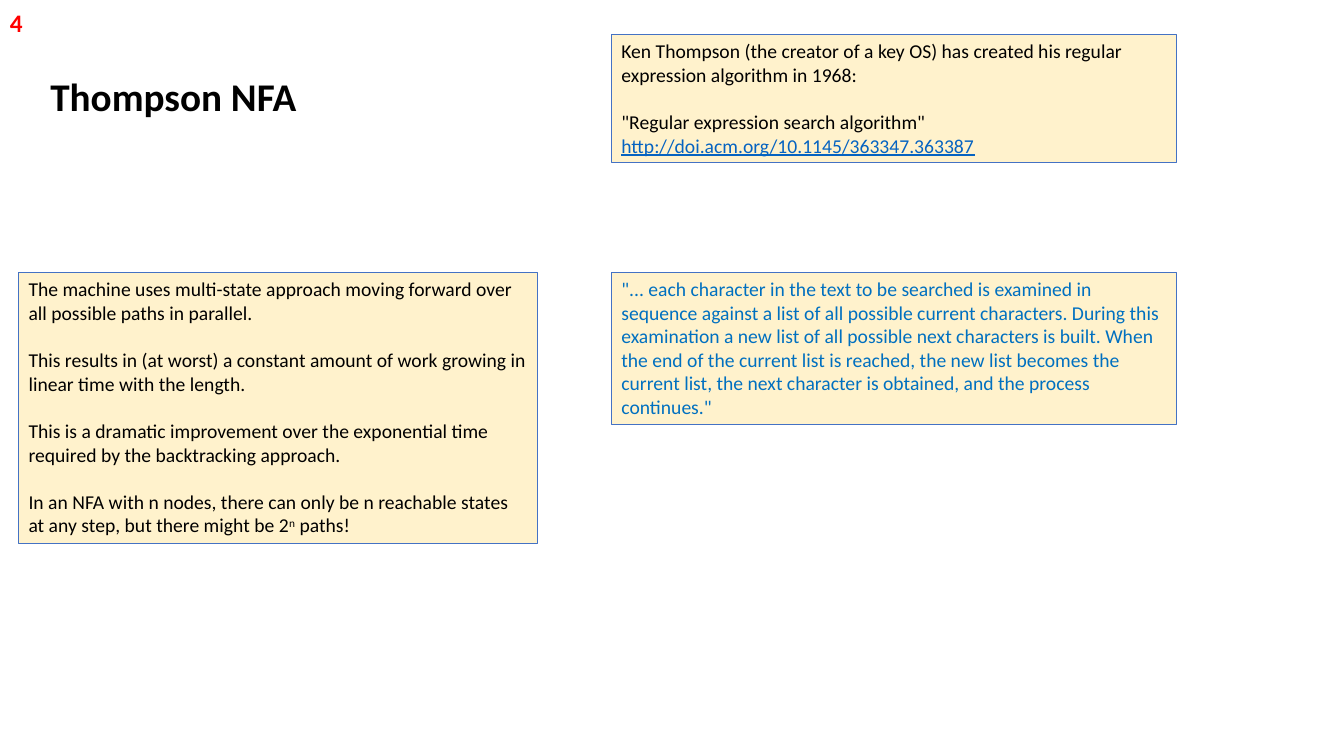
from pptx import Presentation
from pptx import util as u
from pptx.dml.color import RGBColor
from pptx.enum import shapes, text

BLACK = RGBColor(0x00, 0x00, 0x00)
RED = RGBColor(0xFF, 0x00, 0x00)
CREAM = RGBColor(0xFF, 0xF2, 0xCC)
BORDER_BLUE = RGBColor(0x44, 0x72, 0xC4)
QUOTE_BLUE = RGBColor(0x00, 0x70, 0xC0)
LINK_BLUE = RGBColor(0x05, 0x63, 0xC1)

FONT = "Calibri"
RIGHT_COLUMN, RIGHT_WIDTH = 15.41, 14.25
LOWER_ROW = 6.86
PARAGRAPH_GAP = u.Pt(17)

HISTORY = [
    ["Ken Thompson (the creator of a key OS) has created his regular "
     "expression algorithm in 1968:"],
    ['"Regular expression search algorithm" ',
     ("http://doi.acm.org/10.1145/363347.363387", "link")],
]
APPROACH = [
    ["The machine uses multi-state approach moving forward over all possible "
     "paths in parallel."],
    ["This results in (at worst) a constant amount of work growing in linear "
     "time with the length."],
    ["This is a dramatic improvement over the exponential time required by "
     "the backtracking approach."],
    ["In an NFA with n nodes, there can only be n reachable states at any "
     "step, but there might be 2", ("n", "superscript"), " paths!"],
]
QUOTE = [
    ['"... each character in the text to be searched is examined in sequence '
     "against a list of all possible current characters. During this "
     "examination a new list of all possible next characters is built. When "
     "the end of the current list is reached, the new list becomes the "
     "current list, the next character is obtained, and the process "
     'continues."'],
]


def add_run(paragraph, piece):
    """Add plain text, or a (text, style) pair."""
    content, style = (piece, None) if isinstance(piece, str) else piece
    run = paragraph.add_run()
    run.text = content
    if style == "link":
        run.font.color.rgb = LINK_BLUE
        run.font.underline = True
    elif style == "superscript":
        run.font._element.set("baseline", "30000")


def write_paragraphs(frame, paragraphs, size, color, bold=False):
    for index, pieces in enumerate(paragraphs):
        paragraph = frame.add_paragraph() if index else frame.paragraphs[0]
        paragraph.alignment = text.PP_ALIGN.LEFT
        if index:
            paragraph.space_before = PARAGRAPH_GAP
        font = paragraph.font
        font.name, font.size, font.bold = FONT, u.Pt(size), bold
        font.color.rgb = color
        for piece in pieces:
            add_run(paragraph, piece)


def add_label(slide, label, left, top, width, height, size, color, wrap=True):
    shape = slide.shapes.add_textbox(u.Cm(left), u.Cm(top), u.Cm(width), u.Cm(height))
    shape.text_frame.word_wrap = wrap
    write_paragraphs(shape.text_frame, [[label]], size, color, bold=True)


def add_note_box(slide, paragraphs, left, top, width, height, color=BLACK):
    shape = slide.shapes.add_shape(shapes.MSO_SHAPE.RECTANGLE, u.Cm(left),
                                   u.Cm(top), u.Cm(width), u.Cm(height))
    shape.shadow.inherit = False
    shape.fill.solid()
    shape.fill.fore_color.rgb = CREAM
    shape.line.color.rgb = BORDER_BLUE
    shape.line.width = u.Pt(0.75)
    frame = shape.text_frame
    frame.word_wrap = True
    frame.vertical_anchor = text.MSO_ANCHOR.TOP
    write_paragraphs(frame, paragraphs, 14, color)


def main():
    presentation = Presentation()
    presentation.slide_width = u.Cm(33.87)
    presentation.slide_height = u.Cm(19.05)
    slide = presentation.slides.add_slide(presentation.slide_layouts[6])

    # Title
    add_label(slide, "Thompson NFA", 1.02, 1.7, 9.58, 1.45, 28, BLACK)

    # Notes
    add_note_box(slide, HISTORY, RIGHT_COLUMN, 0.86, RIGHT_WIDTH, 3.24)
    add_note_box(slide, APPROACH, 0.47, LOWER_ROW, 13.08, 6.83)
    add_note_box(slide, QUOTE, RIGHT_COLUMN, LOWER_ROW, RIGHT_WIDTH, 3.84, QUOTE_BLUE)

    # Slide number
    add_label(slide, "4", 0, 0.06, 0.84, 1.02, 18, RED, wrap=False)

    presentation.save("out.pptx")


if __name__ == "__main__":
    main()
